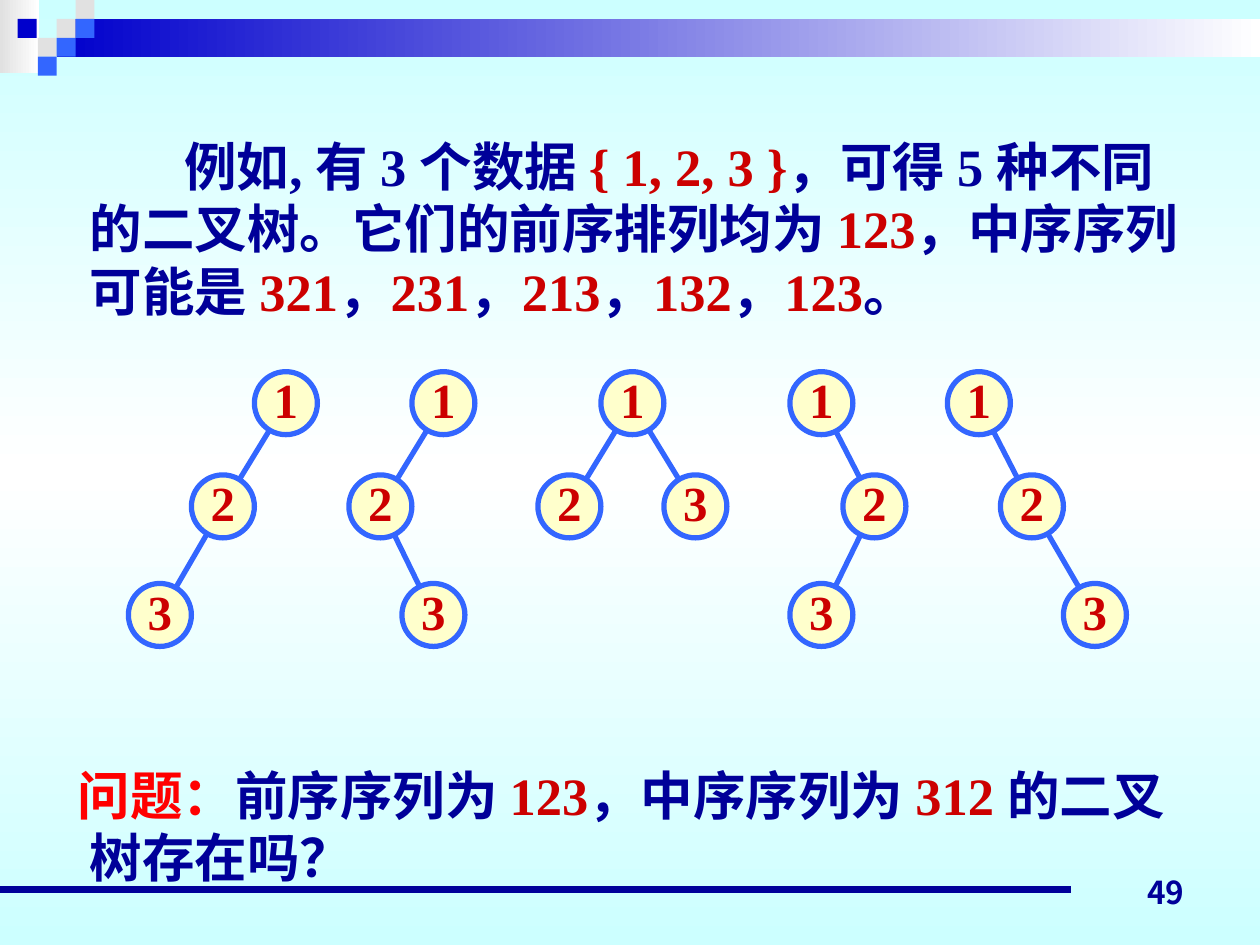
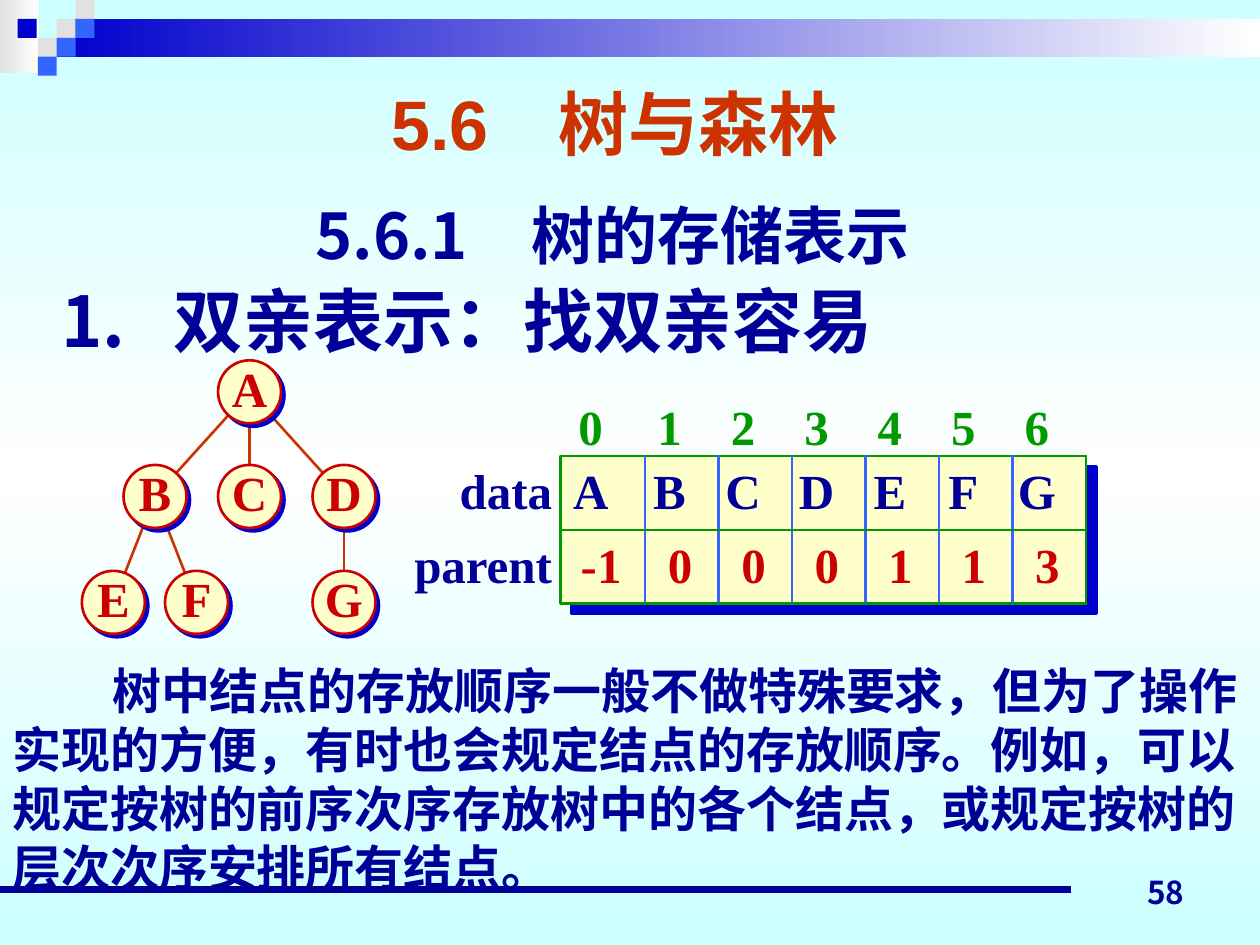
"""Build two slides on binary trees and parent-array storage."""
from copy import deepcopy
from dataclasses import dataclass
from typing import Any, Optional

from lxml import etree
from pptx import Presentation
from pptx.dml.color import RGBColor
from pptx.enum.shapes import MSO_CONNECTOR, MSO_SHAPE
from pptx.enum.text import MSO_ANCHOR, PP_ALIGN
from pptx.oxml.ns import qn
from pptx.util import Pt

NAVY = RGBColor(0x00, 0x00, 0x99)
BAND_BLUE = RGBColor(0x00, 0x00, 0xCC)
BLUE = RGBColor(0x33, 0x66, 0xFF)
RED = RGBColor(0xCC, 0x00, 0x00)
BRIGHT_RED = RGBColor(0xFF, 0x00, 0x00)
ORANGE = RGBColor(0xCC, 0x33, 0x00)
GREEN = RGBColor(0x00, 0x99, 0x00)
CREAM = RGBColor(0xFF, 0xFF, 0xCC)
GREY = RGBColor(0xE1, 0xE1, 0xE1)
WHITE = RGBColor(0xFF, 0xFF, 0xFF)
CYAN = RGBColor(0xCC, 0xFF, 0xFF)

SERIF, SANS = "Times New Roman", "Arial"
CJK, CJK_HEADING = "Noto Sans CJK SC", "Noto Sans CJK JP"
LEFT, CENTER, RIGHT = PP_ALIGN.LEFT, PP_ALIGN.CENTER, PP_ALIGN.RIGHT
TOP, MIDDLE, BOTTOM = MSO_ANCHOR.TOP, MSO_ANCHOR.MIDDLE, MSO_ANCHOR.BOTTOM
RECTANGLE, OVAL = MSO_SHAPE.RECTANGLE, MSO_SHAPE.OVAL
STRAIGHT = MSO_CONNECTOR.STRAIGHT

SQUARE = 10.8
NODE = 36
LABEL_SIZE = 28
Runs = list[tuple[str, RGBColor]]


@dataclass
class TextBlock:
    """One paragraph with its box and format."""

    left: float
    top: float
    width: float
    height: float
    runs: Runs
    size: float
    font: str = SERIF
    align: Any = LEFT
    anchor: Any = TOP
    line_pitch: Optional[float] = None
    margin: float = 0
    indent: float = 0


@dataclass
class Node:
    """A tree node by its centre and the index of its parent."""

    label: str
    x: float
    y: float
    parent: Optional[int] = None


@dataclass
class TreeStyle:
    """Lines and shadow of a tree."""

    edge: RGBColor
    outline: RGBColor
    weight: float
    shadow: float = 0


@dataclass
class ArrayRow:
    """One row of the parent array."""

    label: str
    values: list[str]
    colour: RGBColor
    height: float
    right_inset: float
    anchor: Any = MIDDLE


ROWS = (230.4, 289.4, 351.4)
BINARY_TREES = [
    (163.4, [("2", -36, 1, 0), ("3", -72, 2, 1)]),
    (253.4, [("2", -36, 1, 0), ("3", -5.7, 2, 1)]),
    (361.4, [("2", -36, 1, 0), ("3", 36, 1, 0)]),
    (469.4, [("2", 30.3, 1, 0), ("3", 0, 2, 1)]),
    (559.4, [("2", 30.3, 1, 0), ("3", 66.3, 2, 1)]),
]
BINARY_STYLE = TreeStyle(BLUE, BLUE, 3)

STORED_TREE = [
    Node("A", 142.6, 223.9),
    Node("B", 88.6, 283.7, 0),
    Node("C", 142.6, 283.7, 0),
    Node("D", 196.6, 283.7, 0),
    Node("E", 64.8, 344.2, 1),
    Node("F", 112.3, 344.2, 1),
    Node("G", 196.6, 344.2, 3),
]
STORED_STYLE = TreeStyle(ORANGE, RED, 1.5, 2.8)

ARRAY_ROWS = [
    ArrayRow("", list("0123456"), GREEN, 37, 14, BOTTOM),
    ArrayRow("data", list("ABCDEFG"), NAVY, 42.1, 14),
    ArrayRow("parent", ["-1", *"000113"], RED, 42.1, 2),
]
ARRAY_COLUMNS = [90, 48.2] + [42] * 6
ARRAY_LEFT, ARRAY_TOP = 320.4, 260.6

EXAMPLE = TextBlock(17.3, 73, 666, 160, [
    ("例如, 有 3 个数据 ", NAVY), ("{ 1, 2, 3 }", RED),
    ("，可得 5 种不同的二叉树。它们的前序排列均为 ", NAVY), ("123", RED),
    ("，中序序列可能是 ", NAVY), ("321", RED), ("，", NAVY), ("231", RED),
    ("，", NAVY), ("213", RED), ("，", NAVY), ("132", RED), ("，", NAVY),
    ("123", RED), ("。", NAVY),
], 30, line_pitch=35.9, margin=27, indent=54)
QUESTION = TextBlock(17.3, 432.4, 666, 80, [
    ("问题：", BRIGHT_RED), ("前序序列为 ", NAVY), ("123", RED),
    ("，中序序列为 ", NAVY), ("312 ", RED), ("的二叉树存在吗？", NAVY),
], 30, line_pitch=35.9, margin=27, indent=-7)

TITLE = TextBlock(209.5, 37.4, 283.7, 65.5, [("5.6　树与森林", ORANGE)],
                  40, SANS, CENTER, MIDDLE)
SUBTITLE = TextBlock(115.9, 108.7, 468, 50.4, [("5.6.1　树的存储表示", NAVY)],
                     36, CJK_HEADING, CENTER, MIDDLE)
HEADING = TextBlock(28.1, 146.2, 648, 72.7, [("1.\t双亲表示：找双亲容易", NAVY)],
                    40, CJK_HEADING, anchor=MIDDLE, margin=64, indent=-64)
ORDER_NOTE = TextBlock(0, 373.6, 720, 137.5, [(
    "树中结点的存放顺序一般不做特殊要求，但为了操作实现的方便，"
    "有时也会规定结点的存放顺序。例如，可以规定按树的前序次序存放"
    "树中的各个结点，或规定按树的层次次序安排所有结点。", NAVY)],
    28, line_pitch=33.7, indent=57)


def write_runs(paragraph, runs: Runs, size: float, font: str) -> None:
    """Add bold coloured runs with Latin and East Asian fonts."""
    formats = {"size": Pt(size), "name": font, "bold": True}
    for text, colour in runs:
        run = paragraph.add_run()
        run.text = text
        for name, value in formats.items():
            setattr(run.font, name, value)
        run.font.color.rgb = colour
        east_asian = etree.SubElement(run._r.get_or_add_rPr(), qn("a:ea"))
        east_asian.set("typeface", font if font == CJK_HEADING else CJK)


def fill_text(shape, block: TextBlock) -> None:
    """Place a text shape and write its block."""
    for name in ("left", "top", "width", "height"):
        setattr(shape, name, Pt(getattr(block, name)))
    frame = shape.text_frame
    frame.word_wrap = True
    frame.vertical_anchor = block.anchor
    paragraph = frame.paragraphs[0]
    properties = paragraph._p.get_or_add_pPr()
    properties.set("marL", str(Pt(block.margin)))
    properties.set("indent", str(Pt(block.indent)))
    paragraph.alignment = block.align
    if block.line_pitch:
        paragraph.line_spacing = Pt(block.line_pitch)
    write_runs(paragraph, block.runs, block.size, block.font)


def add_text(slide, block: TextBlock) -> None:
    """Add a text box for a block."""
    fill_text(slide.shapes.add_textbox(0, 0, 0, 0), block)


def set_gradient(fill, element, colours: list[RGBColor], angle: float) -> None:
    """Give a fill evenly spaced gradient stops."""
    fill.gradient()
    fill.gradient_angle = angle
    stop_list = next(element.iter(qn("a:gsLst")))
    while len(stop_list) < len(colours):
        stop_list.append(deepcopy(stop_list[0]))
    for index, (stop, colour) in enumerate(zip(fill.gradient_stops, colours)):
        stop.color.rgb = colour
        stop.position = index / (len(colours) - 1)


def add_box(slide, kind, left: float, top: float, width: float, height: float,
            colour: RGBColor, outline: Optional[RGBColor] = None,
            weight: float = 0, shadow: float = 0):
    """Add a filled preset shape, with an outline and hard shadow if asked."""
    shape = slide.shapes.add_shape(kind, Pt(left), Pt(top), Pt(width), Pt(height))
    shape.shadow.inherit = False
    shape.fill.solid()
    shape.fill.fore_color.rgb = colour
    if outline is None:
        shape.line.fill.background()
    else:
        shape.line.color.rgb = outline
        shape.line.width = Pt(weight)
    if shadow:
        effects = shape._element.spPr.find(qn("a:effectLst"))
        outer = etree.SubElement(effects, qn("a:outerShdw"), dist=str(Pt(shadow)),
                                 dir="2700000", algn="ctr", rotWithShape="0")
        etree.SubElement(outer, qn("a:srgbClr"), val=str(BAND_BLUE))
    return shape


def add_line(slide, start: tuple[float, float], end: tuple[float, float],
             colour: RGBColor, weight: float) -> None:
    """Add a straight line without a shadow."""
    line = slide.shapes.add_connector(STRAIGHT, *map(Pt, start + end))
    line.line.color.rgb = colour
    line.line.width = Pt(weight)
    etree.SubElement(line._element.spPr, qn("a:effectLst"))


def add_frame(slide, number: str) -> None:
    """Draw the top band, corner squares, footer line and slide number."""
    for left, top, width, height, colour in (
            (0, 0, 22.3, 41.8, GREY), (32.4, SQUARE, 687.6, 21.6, BAND_BLUE)):
        band = add_box(slide, RECTANGLE, left, top, width, height, colour)
        set_gradient(band.fill, band._element, [colour, WHITE], 0)
    for step in range(3):
        left = 21.6 + step * SQUARE
        for top, colour in ((2 - step, GREY), (3 - step, BLUE)):
            add_box(slide, RECTANGLE, left, top * SQUARE, SQUARE, SQUARE, colour)
    add_box(slide, RECTANGLE, 10.1, SQUARE, SQUARE, SQUARE, BAND_BLUE)
    add_line(slide, (0, 508.3), (612, 508.3), NAVY, 4.5)
    add_text(slide, TextBlock(516.2, 488.2, 167.8, 36, [(number, NAVY)], 18,
                              CJK_HEADING, RIGHT, BOTTOM))


def add_tree(slide, nodes: list[Node], style: TreeStyle) -> None:
    """Draw the edges of a tree, then its labelled nodes."""
    for node in nodes:
        if node.parent is not None:
            parent = nodes[node.parent]
            add_line(slide, (parent.x, parent.y), (node.x, node.y),
                     style.edge, style.weight)
    for node in nodes:
        circle = add_box(slide, OVAL, node.x - NODE / 2, node.y - NODE / 2, NODE, NODE,
                         CREAM, style.outline, style.weight, style.shadow)
        frame = circle.text_frame
        insets = {"margin_left": 0, "margin_right": 0, "margin_top": 0,
                  "margin_bottom": Pt(5), "word_wrap": False,
                  "vertical_anchor": MIDDLE}
        for name, value in insets.items():
            setattr(frame, name, value)
        frame.paragraphs[0].alignment = CENTER
        write_runs(frame.paragraphs[0], [(node.label, RED)], LABEL_SIZE, SERIF)


def set_border(cell, side: str, colour: Optional[RGBColor]) -> None:
    """Draw or clear one side of a table cell."""
    line = etree.SubElement(cell._tc.get_or_add_tcPr(), qn(f"a:{side}"), w=str(Pt(1.5)))
    if colour is None:
        etree.SubElement(line, qn("a:noFill"))
    else:
        fill = etree.SubElement(line, qn("a:solidFill"))
        etree.SubElement(fill, qn("a:srgbClr"), val=str(colour))


def vertical_rule(row: int, boundary: int) -> Optional[RGBColor]:
    """Return the colour of a vertical grid line."""
    if row == 0 or boundary == 0:
        return None
    return GREEN if boundary in (1, len(ARRAY_COLUMNS)) else BLUE


def horizontal_rule(column: int, boundary: int) -> Optional[RGBColor]:
    """Return the colour of a horizontal grid line."""
    return GREEN if column and boundary else None


def add_parent_array(slide) -> None:
    """Draw the indexed data and parent array."""
    add_box(slide, RECTANGLE, ARRAY_LEFT, ARRAY_TOP, sum(ARRAY_COLUMNS[1:]), 84.2,
            CREAM, GREEN, 1.5, 8.5)
    table = slide.shapes.add_table(
        len(ARRAY_ROWS), len(ARRAY_COLUMNS), Pt(ARRAY_LEFT - ARRAY_COLUMNS[0]),
        Pt(ARRAY_TOP - ARRAY_ROWS[0].height), Pt(sum(ARRAY_COLUMNS)),
        Pt(sum(row.height for row in ARRAY_ROWS))).table
    table.first_row = table.horz_banding = False
    for column, width in enumerate(ARRAY_COLUMNS):
        table.columns[column].width = Pt(width)
    for index, row in enumerate(ARRAY_ROWS):
        table.rows[index].height = Pt(row.height)
        for column, text in enumerate([row.label, *row.values]):
            cell = table.cell(index, column)
            for side, colour in (("lnL", vertical_rule(index, column)),
                                 ("lnR", vertical_rule(index, column + 1)),
                                 ("lnT", horizontal_rule(column, index)),
                                 ("lnB", horizontal_rule(column, index + 1))):
                set_border(cell, side, colour)
            if index and column:
                cell.fill.solid()
                cell.fill.fore_color.rgb = CREAM
            else:
                cell.fill.background()
            cell.margin_left = cell.margin_top = cell.margin_bottom = 0
            cell.margin_right = Pt(row.right_inset if column else 5)
            cell.vertical_anchor = row.anchor
            paragraph = cell.text_frame.paragraphs[0]
            paragraph.alignment = CENTER if column else RIGHT
            if text:
                write_runs(paragraph, [(text, row.colour if column else NAVY)],
                           LABEL_SIZE, SERIF)


def build_binary_trees(presentation) -> None:
    """Build the slide with the five binary trees."""
    slide = presentation.slides.add_slide(presentation.slide_layouts[6])
    add_frame(slide, "49")
    add_text(slide, EXAMPLE)
    add_text(slide, QUESTION)
    for root_x, children in BINARY_TREES:
        nodes = [Node("1", root_x, ROWS[0])]
        nodes += [Node(label, root_x + offset, ROWS[level], parent)
                  for label, offset, level, parent in children]
        add_tree(slide, nodes, BINARY_STYLE)


def build_parent_storage(presentation) -> None:
    """Build the slide on parent-array storage."""
    slide = presentation.slides.add_slide(presentation.slide_layouts[5])
    add_frame(slide, "58")
    fill_text(slide.shapes.title, TITLE)
    for block in (SUBTITLE, HEADING, ORDER_NOTE):
        add_text(slide, block)
    add_tree(slide, STORED_TREE, STORED_STYLE)
    add_parent_array(slide)


def main() -> None:
    """Build and save the presentation."""
    presentation = Presentation()
    presentation.slide_width, presentation.slide_height = Pt(720), Pt(540)
    master = presentation.slide_master
    set_gradient(master.background.fill, master._element, [CYAN, WHITE, CYAN], 270)
    build_binary_trees(presentation)
    build_parent_storage(presentation)
    presentation.save("out.pptx")


if __name__ == "__main__":
    main()
